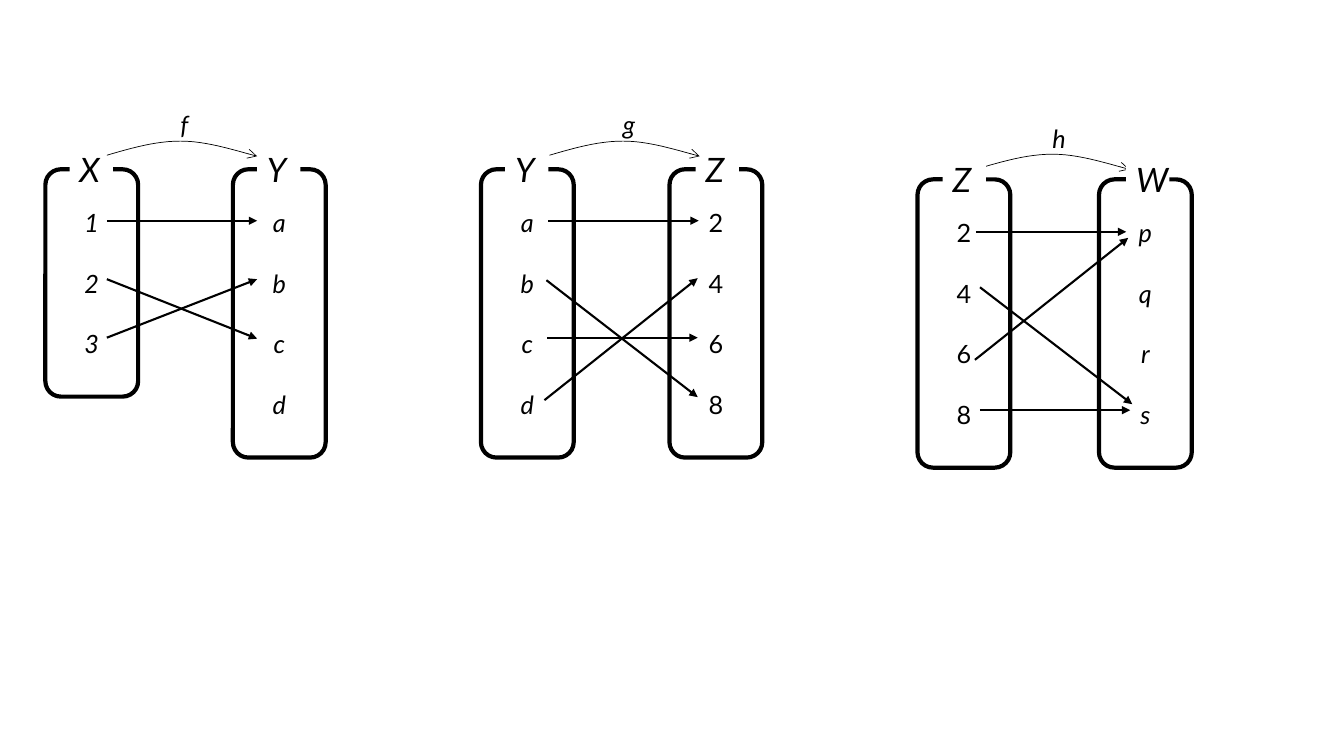
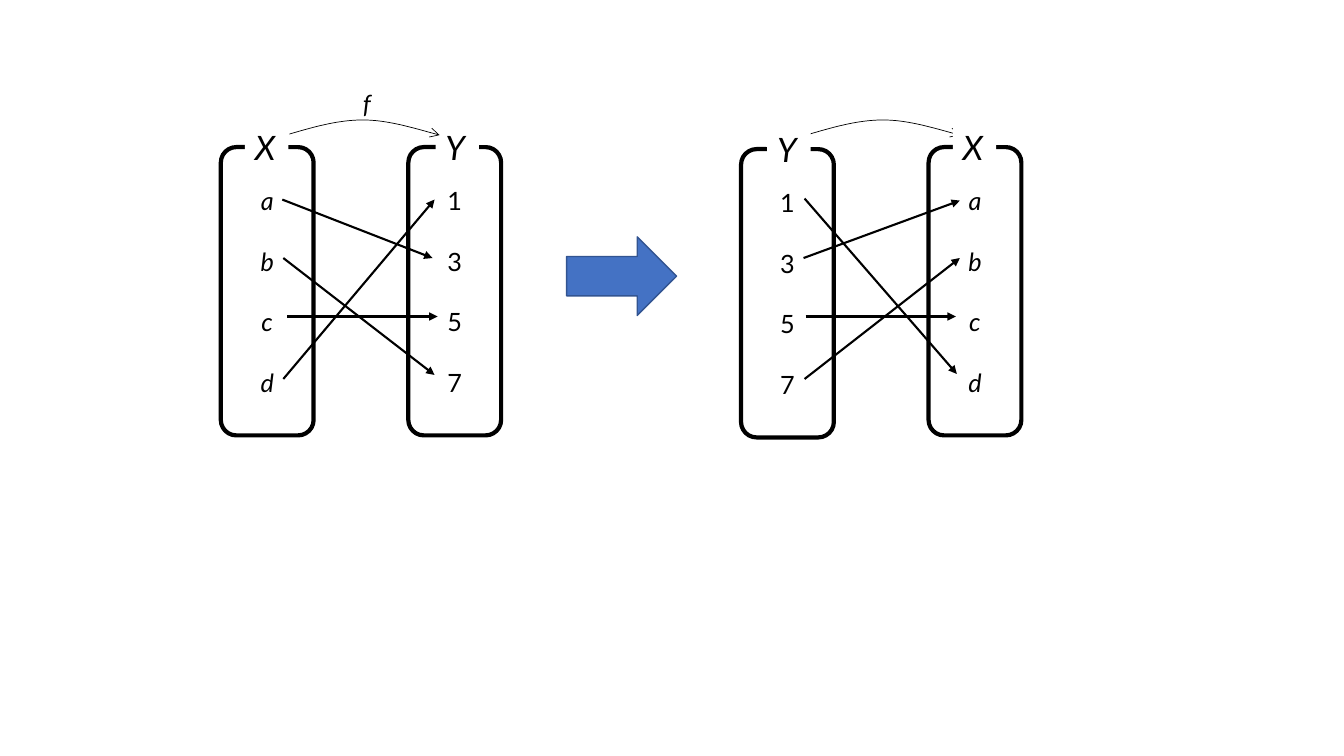
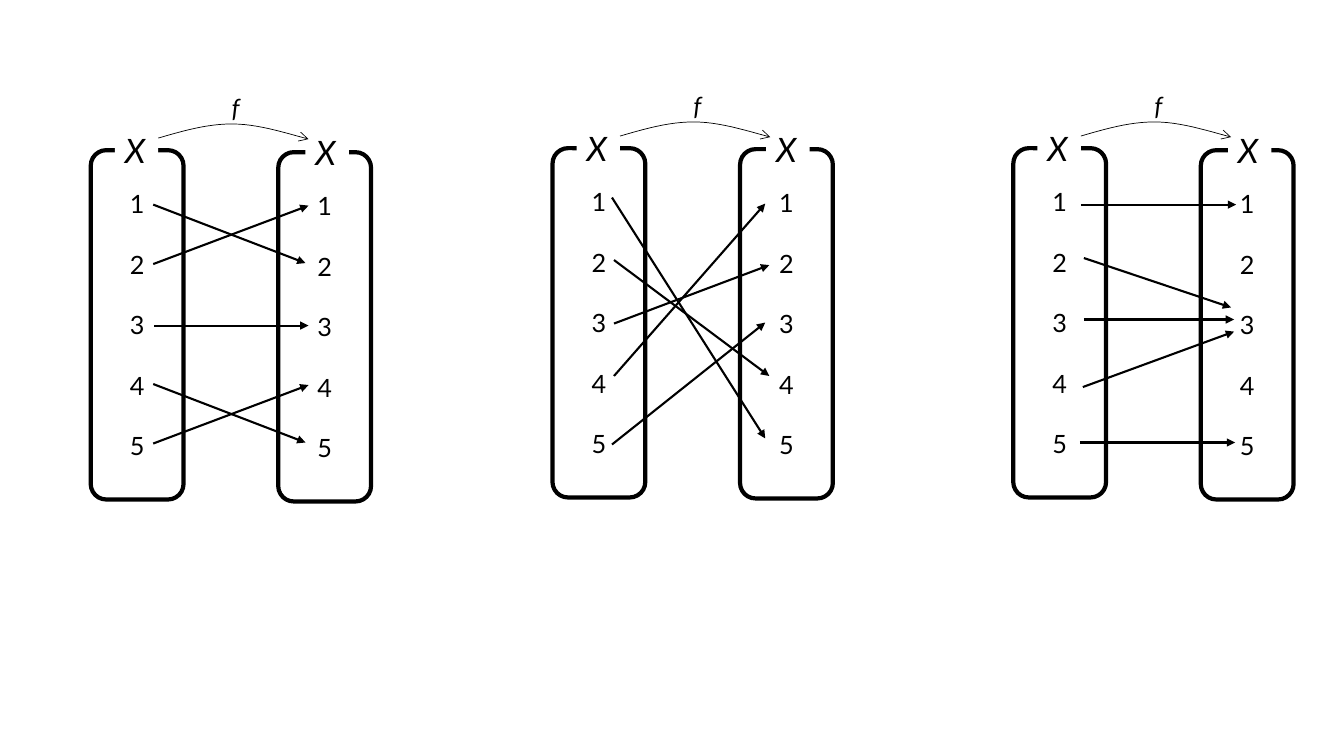
from dataclasses import dataclass
from lxml.etree import SubElement as Sub
from pptx import Presentation
from pptx.dml.color import RGBColor as RGB
from pptx.enum.shapes import MSO_CONNECTOR as LINK, MSO_SHAPE as KIND
from pptx.enum.text import MSO_ANCHOR as ANCHOR, PP_ALIGN as ALIGN
from pptx.oxml.ns import qn
from pptx.util import Inches, Pt

FONT = "Lato"
HUES = {"ink": "000000", "paper": "FFFFFF", "block": "4472C4", "edge": "325491"}
ARC = [
    [(0, 0.14), (0.24, 0.07), (0.48, 0), (0.73, 0)],
    [(0.73, 0), (0.98, 0), (1.23, 0.08), (1.49, 0.15)],
]
STEPS = 12


@dataclass
class Set:
    x: float
    y: float
    tag: float
    name: str
    items: str
    slant: bool = False


@dataclass
class Map:
    left: Set
    right: Set
    arc: tuple
    name: str
    links: list
    under: bool = False


def hue(key):
    return RGB.from_string(HUES[key])


def paint(item, key):
    item.fill.solid()
    item.fill.fore_color.rgb = hue(key)


def stroke(item, width, key="ink", head=None):
    item.line.color.rgb = hue(key)
    item.line.width = Pt(width)
    if head:
        Sub(item.line._get_or_add_ln(), qn("a:tailEnd"), type=head)


def write(par, text, size, slant):
    run = par.add_run()
    run.text = text
    font = run.font
    font.name, font.size, font.italic = FONT, Pt(size), slant
    font.color.rgb = hue("ink")


def label(host, x, y, wide, high, text, size):
    box = host.add_textbox(Inches(x), Inches(y), Inches(wide), Inches(high))
    box.text_frame.word_wrap = True
    write(box.text_frame.paragraphs[0], text, size, True)
    return box


def draw_set(host, part):
    high = 0.44 + 0.605 * len(part.items)
    box = host.add_shape(KIND.ROUNDED_RECTANGLE, Inches(part.x), Inches(part.y),
                         Inches(0.92), Inches(high))
    box.shadow.inherit = False
    box.fill.background()
    stroke(box, 3)
    frame = box.text_frame
    frame.word_wrap = True
    frame.vertical_anchor = ANCHOR.MIDDLE
    for place, text in enumerate(part.items):
        par = frame.add_paragraph() if place else frame.paragraphs[0]
        par.alignment = ALIGN.CENTER
        if place:
            par.space_before = Pt(21.6)
        write(par, text, 18, part.slant)
    paint(label(host, part.tag, part.y - 0.25, 0.43, 0.5, part.name, 24), "paper")


def curve(knots, t):
    s = 1 - t
    mix = (s ** 3, 3 * s * s * t, 3 * s * t * t, t ** 3)
    return [sum(m * k[axis] for m, k in zip(mix, knots)) for axis in (0, 1)]


def draw_arc(host, x, y, name):
    group = host.add_group_shape().shapes
    dots = [ARC[0][0]] + [curve(half, n / STEPS) for half in ARC
                          for n in range(1, STEPS + 1)]
    dots = [(Inches(x + dx), Inches(y + dy)) for dx, dy in dots]
    pen = group.build_freeform(*dots[0])
    pen.add_line_segments(dots[1:], close=False)
    arc = pen.convert_to_shape()
    arc.shadow.inherit = False
    arc.fill.background()
    stroke(arc, 0.5, head="arrow")
    if name:
        label(group, x + 0.63, y - 0.36, 0.37, 0.4, name, 18)


def draw_link(host, *ends):
    link = host.add_connector(LINK.STRAIGHT, *map(Inches, ends))
    stroke(link, 1.5, head="triangle")
    Sub(link._element.spPr, qn("a:effectLst"))


def draw_map(host, plan):
    if plan.under:
        draw_arc(host, *plan.arc, plan.name)
    for part in (plan.left, plan.right):
        draw_set(host, part)
    if not plan.under:
        draw_arc(host, *plan.arc, plan.name)
    for ends in plan.links:
        draw_link(host, *ends)


def draw_block(host, x, y, wide, high):
    block = host.add_shape(KIND.RIGHT_ARROW, Inches(x), Inches(y),
                           Inches(wide), Inches(high))
    block.shadow.inherit = False
    paint(block, "block")
    stroke(block, 1, "edge")


CHAIN = [
    Map(Set(0.45, 1.68, 0.69, "X", "123", True),
        Set(2.31, 1.68, 2.55, "Y", "abcd", True), (1.06, 1.4), "f",
        [(1.06, 2.19, 2.55, 2.19), (1.06, 2.77, 2.55, 3.36),
         (1.06, 3.35, 2.55, 2.77)]),
    Map(Set(4.77, 1.68, 5.01, "Y", "abcd", True),
        Set(6.64, 1.68, 6.9, "Z", "2468"), (5.45, 1.4), "g",
        [(5.44, 2.19, 6.93, 2.19), (5.42, 2.78, 6.92, 3.94),
         (5.43, 3.35, 6.92, 3.35), (5.4, 3.97, 6.92, 2.76)]),
    Map(Set(9.1, 1.78, 9.35, "Z", "2468"),
        Set(10.9, 1.78, 11.17, "W", "pqrs", True), (9.71, 1.53), "h",
        [(9.68, 2.3, 11.17, 2.3), (9.72, 2.85, 11.23, 4.01),
         (9.67, 3.57, 11.19, 2.36), (9.72, 4.07, 11.21, 4.07)], True),
]
TURN = [
    Map(Set(2.19, 1.46, 2.43, "X", "abcd", True),
        Set(4.05, 1.46, 4.32, "Y", "1357"), (2.87, 1.19), "f",
        [(2.8, 1.98, 4.29, 2.56), (2.81, 2.56, 4.31, 3.72),
         (2.85, 3.14, 4.34, 3.14), (2.81, 3.76, 4.31, 1.98)]),
    Map(Set(7.35, 1.48, 7.61, "Y", "1357"),
        Set(9.21, 1.46, 9.45, "X", "abcd", True), (8.03, 1.19), "",
        [(7.98, 1.97, 9.49, 3.71), (7.97, 2.56, 9.52, 1.99),
         (7.99, 3.14, 9.48, 3.14), (7.98, 3.76, 9.52, 2.56)], True),
]
SELF = [
    Map(Set(0.9, 1.49, 1.14, "X", "12345"),
        Set(2.76, 1.51, 3.03, "X", "12345"), (1.57, 1.23), "f",
        [(1.52, 2.03, 3.03, 2.61), (1.52, 2.62, 3.06, 2.04),
         (1.53, 3.23, 3.06, 3.23), (1.52, 3.81, 3.03, 4.39),
         (1.52, 4.4, 3.06, 3.82)]),
    Map(Set(5.48, 1.47, 5.72, "X", "12345"),
        Set(7.34, 1.48, 7.6, "X", "12345"), (6.15, 1.21), "f",
        [(6.07, 1.96, 7.59, 4.35), (6.09, 2.58, 7.63, 3.73),
         (6.09, 3.21, 7.63, 2.63), (6.09, 3.73, 7.59, 2.02),
         (6.07, 4.41, 7.59, 3.2)]),
    Map(Set(10.05, 1.47, 10.29, "X", "12345"),
        Set(11.91, 1.49, 12.18, "X", "12345"), (10.72, 1.21), "f",
        [(10.72, 2.03, 12.26, 2.03), (10.75, 2.56, 12.21, 3.05),
         (10.75, 3.17, 12.24, 3.17), (10.74, 3.84, 12.24, 3.29),
         (10.71, 4.39, 12.25, 4.39)]),
]


def main():
    deck = Presentation()
    deck.slide_width, deck.slide_height = Inches(13.33), Inches(7.5)
    for plans in (CHAIN, TURN, SELF):
        host = deck.slides.add_slide(deck.slide_layouts[6]).shapes
        for plan in plans:
            draw_map(host, plan)
        if plans is TURN:
            draw_block(host, 5.62, 2.35, 1.09, 0.78)
    deck.save("out.pptx")


if __name__ == "__main__":
    main()
